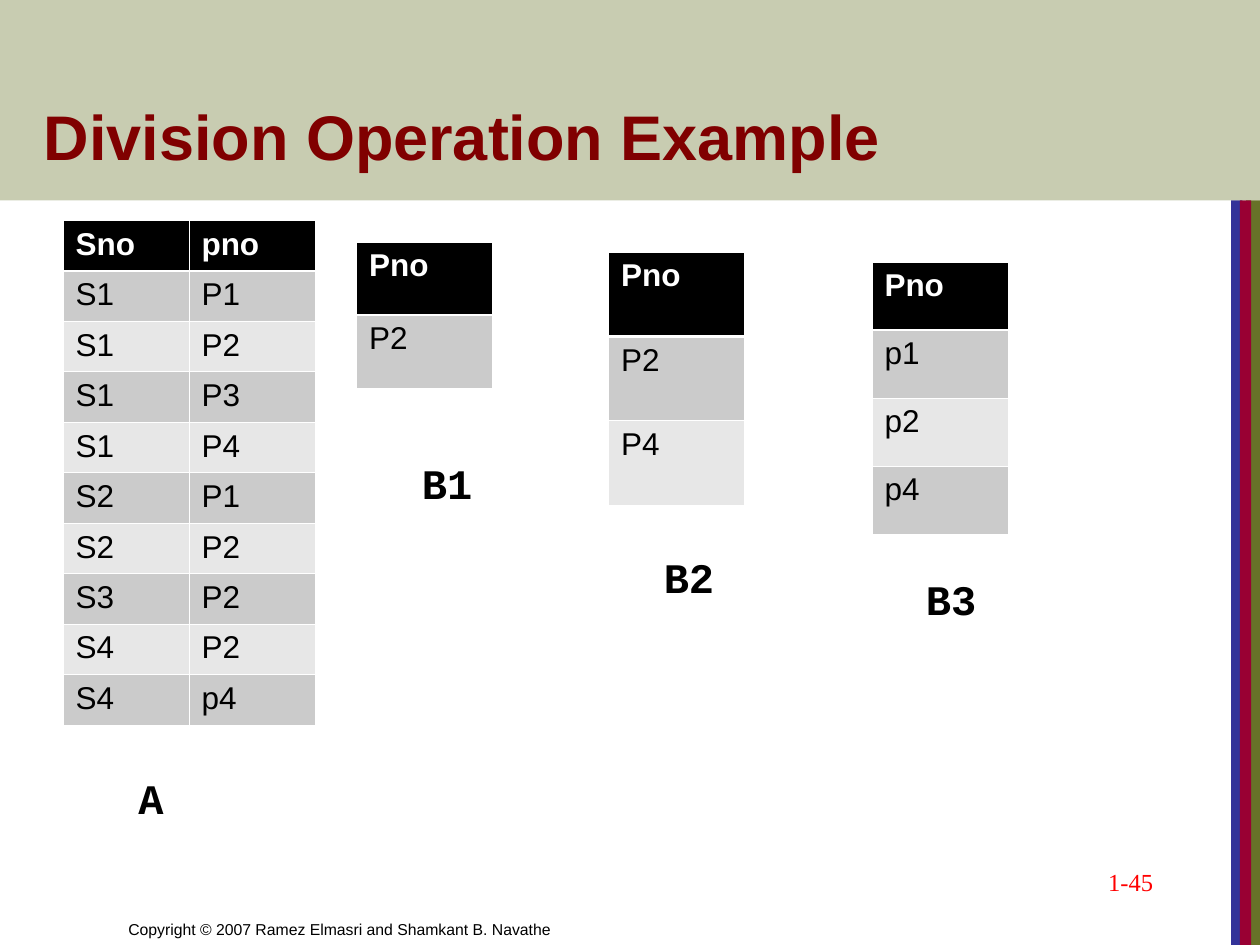
from lxml import etree
from pptx import Presentation
from pptx import util as u
from pptx.dml import color
from pptx.enum import shapes, text
from pptx.oxml import ns

HUES = {"olive": "677228", "blue": "333399", "wine": "990033", "title": "800000",
        "red": "FF0000", "black": "000000", "white": "FFFFFF",
        "dark": "CBCBCB", "light": "E7E7E7"}

deck = Presentation()
deck.slide_width, deck.slide_height = u.Inches(10), u.Inches(7.5)
slide = deck.slides.add_slide(deck.slide_layouts[6])


def style(frame, words, hue, face, align=text.PP_ALIGN.LEFT):
    """Write one paragraph and format its run."""
    par = frame.paragraphs[0]
    par.alignment = align
    run = par.add_run()
    run.text = words
    for key, val in face.items():
        setattr(run.font, key, val)
    run.font.color.rgb = color.RGBColor.from_string(HUES[hue])


def edge(cell, side, width):
    """Draw one white border line of a cell."""
    line = etree.SubElement(cell._tc.get_or_add_tcPr(), ns.qn("a:" + side),
                            w=str(u.Pt(width)))
    fill = etree.SubElement(line, ns.qn("a:solidFill"))
    etree.SubElement(fill, ns.qn("a:srgbClr"), val=HUES["white"])


# Side stripes and top banner
bars = [("olive", 9.89, 1.59, 0.11, 5.91), ("blue", 9.77, 1.59, 0.09, 5.91),
        ("wine", 9.84, 1.59, 0.09, 5.91), ("olive", 0, 0, 10, 1.59)]
for hue, *box in bars:
    bar = slide.shapes.add_shape(shapes.MSO_SHAPE.RECTANGLE, *map(u.Inches, box))
    bar.shadow.inherit = False
    bar.fill.solid()
    bar.fill.fore_color.rgb = color.RGBColor.from_string(HUES[hue])
    bar.line.fill.background()

# The banner, drawn last, is see-through
tint = bar._element.spPr.find(".//" + ns.qn("a:srgbClr"))
etree.SubElement(tint, ns.qn("a:alpha"), val="36000")

# Title, footer, page number and table labels
head = {"name": "Arial", "size": u.Pt(36), "bold": True}
foot = {"name": "Arial", "size": u.Pt(9)}
page = {"name": "Times New Roman", "size": u.Pt(14)}
mark = {"name": "Courier New", "size": u.Pt(24), "bold": True}
left, right = text.PP_ALIGN.LEFT, text.PP_ALIGN.RIGHT
top, base = text.MSO_ANCHOR.TOP, text.MSO_ANCHOR.BOTTOM
notes = [
    ("Copyright © 2007 Ramez Elmasri and Shamkant B. Navathe",
     (0.92, 7, 4.92, 0.5), "black", foot, left, base),
    ("Division Operation Example", (0.25, 0.33, 8.53, 1.09), "title", head, left, base),
    ("1-45", (7.17, 6.83, 2.08, 0.5), "red", page, right, top),
    ("A", (1, 6.08, 0.42, 0.5), "black", mark, left, top),
    ("B1", (3.25, 3.58, 0.83, 0.5), "black", mark, left, top),
    ("B2", (5.17, 4.33, 0.83, 0.5), "black", mark, left, top),
    ("B3", (7.25, 4.5, 0.67, 0.5), "black", mark, left, top),
]
for words, box, hue, face, align, anchor in notes:
    frame = slide.shapes.add_textbox(*map(u.Inches, box)).text_frame
    frame.word_wrap = True
    frame.vertical_anchor = anchor
    style(frame, words, hue, face, align)

# Tables: left, top, column width, row height, rows of cells
pairs = ["Sno pno", "S1 P1", "S1 P2", "S1 P3", "S1 P4",
         "S2 P1", "S2 P2", "S3 P2", "S4 P2", "S4 p4"]
grids = [(0.5, 1.75, 1, 0.4, pairs),
         (2.83, 1.92, 1.08, 0.58, ["Pno", "P2"]),
         (4.83, 2, 1.08, 0.67, ["Pno", "P2", "P4"]),
         (6.92, 2.08, 1.08, 0.54, ["Pno", "p1", "p2", "p4"])]
for x, y, wide, high, lines in grids:
    rows = [line.split() for line in lines]
    count = len(rows[0])
    grid = slide.shapes.add_table(len(rows), count, u.Inches(x), u.Inches(y),
                                  u.Inches(wide * count),
                                  u.Inches(high * len(rows))).table
    for col in grid.columns:
        col.width = u.Inches(wide)
    for r, row in enumerate(rows):
        grid.rows[r].height = u.Inches(high)
        back = "black" if r == 0 else "dark" if r % 2 else "light"
        face = {"name": "Arial", "size": u.Pt(18), "bold": r == 0}
        for c, words in enumerate(row):
            cell = grid.cell(r, c)
            style(cell.text_frame, words, "black" if r else "white", face)
            # Thicker rule between header and body
            rules = {"lnL": 0.45, "lnR": 0.45, "lnT": 1.47 if r == 1 else 0.45,
                     "lnB": 1.47 if r == 0 else 0.45}
            for side, width in rules.items():
                edge(cell, side, width)
            cell.fill.solid()
            cell.fill.fore_color.rgb = color.RGBColor.from_string(HUES[back])

deck.save("out.pptx")
